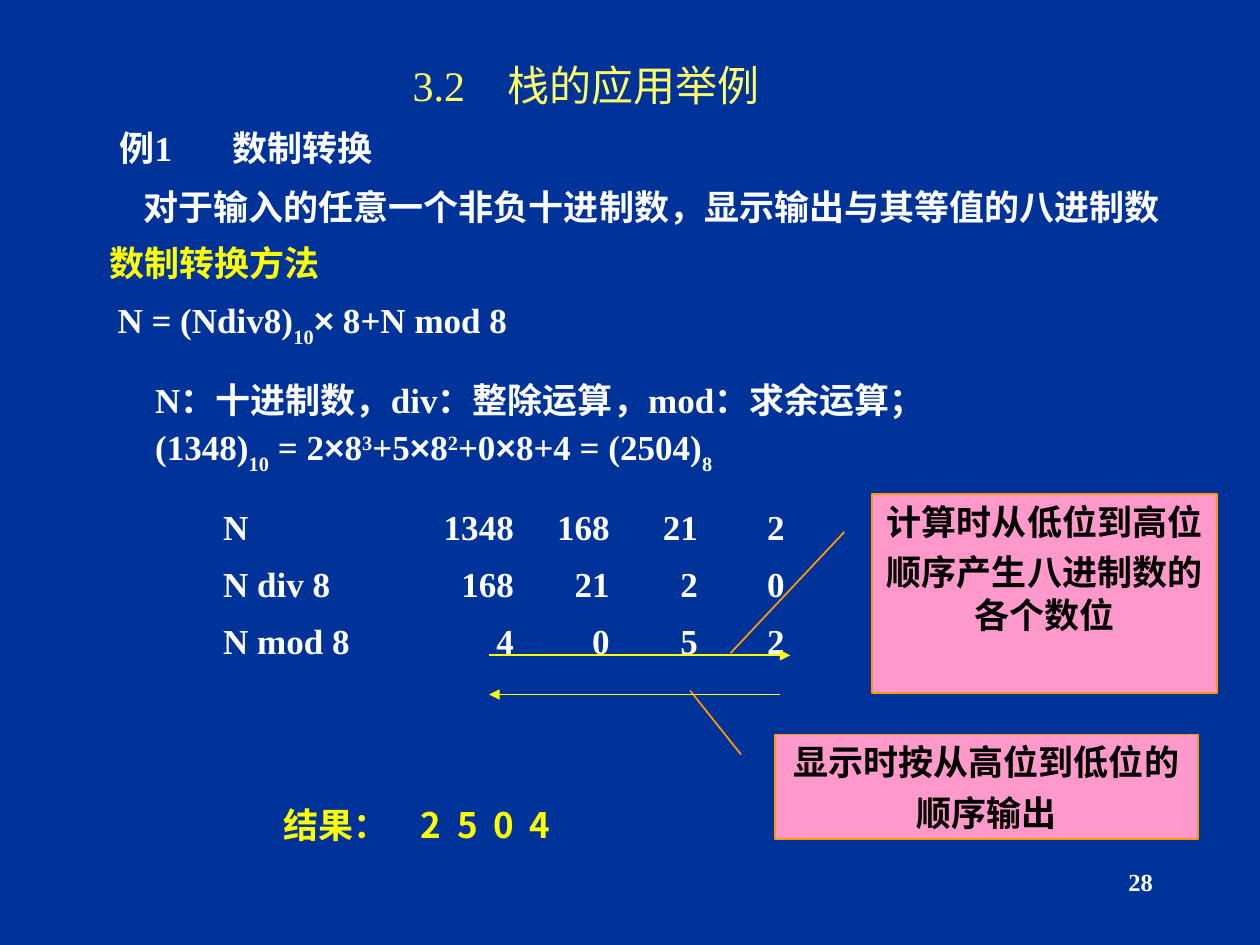
from lxml import etree
from pptx import Presentation
from pptx.dml.color import RGBColor
from pptx.enum.shapes import MSO_CONNECTOR, MSO_SHAPE
from pptx.enum.text import MSO_ANCHOR as Anchor, PP_ALIGN as Align
from pptx.oxml.ns import qn
from pptx.util import Cm, Pt

COLORS = {
    "background": "003399", "title": "FFFF66", "text": "FFFFFF",
    "accent": "FFFF00", "callout": "FF99CC", "border": "FF9900", "ink": "000000",
}
SERIF, SANS, CJK = "Times New Roman", "Arial", "Noto Sans CJK SC"
BASELINES = {"_": "-30000", "^": "30000"}
NUMBER_STOPS = [(2.29, "l"), (8.15, "r"), (10.08, "r"), (11.86, "r"), (13.61, "r")]
RESULT_STOPS = [(2.77 + 0.735 * place, "l") for place in range(4)]


def rgb(name):
    return RGBColor.from_string(COLORS[name])


def write(paragraph, text, size=20, color="text", font=SERIF, bold=True,
          align=None, before=0, spacing=None, indent=0, stops=()):
    properties = paragraph._p.get_or_add_pPr()
    if indent:
        properties.set("marL", str(Cm(indent)))
    if stops:
        tab_list = etree.SubElement(properties, qn("a:tabLst"))
        for position, side in stops:
            etree.SubElement(tab_list, qn("a:tab"), pos=str(Cm(position)), algn=side)
    paragraph.alignment = align
    paragraph.space_before = Pt(before)
    if spacing:
        paragraph.line_spacing = spacing
    for piece in text.split("|"):
        if piece == "\n":
            paragraph.add_line_break()
            continue
        run = paragraph.add_run()
        run.text = piece.lstrip("_^")
        run.font.size, run.font.bold = Pt(size), bold
        run.font.name = SANS if piece == "×" else font
        run.font.color.rgb = rgb(color)
        etree.SubElement(run._r.rPr, qn("a:ea"), typeface=CJK)
        if piece[0] in BASELINES:
            run._r.rPr.set("baseline", BASELINES[piece[0]])


class SlideBuilder:
    def __init__(self, slide):
        self.slide = slide
        slide.background.fill.solid()
        slide.background.fill.fore_color.rgb = rgb("background")

    def fill_frame(self, frame, lines, anchor=Anchor.TOP, **shared):
        frame.word_wrap = True
        frame.vertical_anchor = anchor
        for number, (text, own) in enumerate(lines):
            paragraph = frame.add_paragraph() if number else frame.paragraphs[0]
            style = {**shared, **own}
            if not number:
                style["before"] = 0
            write(paragraph, text, **style)

    def title(self, text, left, top, width, height):
        heading = self.slide.shapes.title
        heading.left, heading.top = Cm(left), Cm(top)
        heading.width, heading.height = Cm(width), Cm(height)
        self.fill_frame(heading.text_frame, [(text, {})], Anchor.MIDDLE,
                        size=24, color="title", bold=False, align=Align.CENTER)

    def text(self, lines, left, top, width, height, **shared):
        box = self.slide.shapes.add_textbox(Cm(left), Cm(top), Cm(width), Cm(height))
        self.fill_frame(box.text_frame, lines, **shared)

    def callout(self, lines, left, top, width, height, pointer):
        note = self.slide.shapes.add_shape(
            MSO_SHAPE.LINE_CALLOUT_1, Cm(left), Cm(top), Cm(width), Cm(height))
        note.shadow.inherit = False
        note.fill.solid()
        note.fill.fore_color.rgb = rgb("callout")
        note.line.color.rgb = rgb("border")
        note.line.width = Pt(1)
        for number, value in enumerate(pointer):
            note.adjustments[number] = value
        self.fill_frame(note.text_frame, [(line, {}) for line in lines],
                        color="ink", align=Align.CENTER, before=5)

    def arrow(self, start, end, level):
        arrow = self.slide.shapes.add_connector(
            MSO_CONNECTOR.STRAIGHT, Cm(start), Cm(level), Cm(end), Cm(level))
        arrow.line.color.rgb = rgb("accent")
        arrow.line.width = Pt(1)
        etree.SubElement(arrow.line._get_or_add_ln(), qn("a:tailEnd"), type="triangle")
        etree.SubElement(arrow._element.spPr, qn("a:effectLst"))


def main():
    deck = Presentation()
    deck.slide_width, deck.slide_height = Cm(25.4), Cm(19.05)
    page = SlideBuilder(deck.slides.add_slide(deck.slide_layouts[5]))

    page.text([("28", {})], 18.21, 17.35, 5.28, 1.27, size=14, align=Align.RIGHT)
    page.title("3.2　栈的应用举例", 6.63, 1.07, 10.36, 1.27)
    page.text([
        ("例1\t数制转换", {"stops": [(2.28, "l")]}),
        ("对于输入的任意一个非负十进制数，显示输出与其等值的八进制数", {"indent": 0.48}),
    ], 2.16, 2.34, 21.69, 2.39, before=7.5, spacing=1.1)

    number_row = {"stops": NUMBER_STOPS}
    page.text([
        ("数制转换方法", {"color": "accent"}),
        ("N = (Ndiv8)|_10|×| 8+N mod 8", {"indent": 0.16}),
        ("N：十进制数，div：整除运算，mod：求余运算；|\n|"
         "(1348)|_10| = 2|×|8|^3|+5|×|8|^2|+0|×|8+4 = (2504)|_8",
         {"indent": 0.92, "before": 15}),
        ("\tN\t1348\t168\t21\t2", {**number_row, "before": 15}),
        ("\tN div 8\t168\t21\t2\t0", number_row),
        ("\tN mod 8\t4\t0\t5\t2", number_row),
    ], 1.96, 4.65, 20.12, 8.84, before=6.2, spacing=1.1)

    page.callout(["计算时从低位到高位", "顺序产生八进制数的各个数位"],
                 17.58, 9.96, 6.96, 4.01, (0.19, -0.08, 0.8, -0.41))
    page.text([("结果：\t2\t5\t0\t4", {})], 5.46, 16.08, 9.17, 1.12,
              color="accent", font=CJK, stops=RESULT_STOPS)
    page.callout(["显示时按从高位到低位的", "顺序输出"],
                 15.62, 14.81, 8.53, 2.11, (0.19, -0.08, -0.42, -0.2))
    page.arrow(9.86, 15.93, 13.21)
    page.arrow(15.72, 9.86, 14)

    deck.save("out.pptx")


if __name__ == "__main__":
    main()
